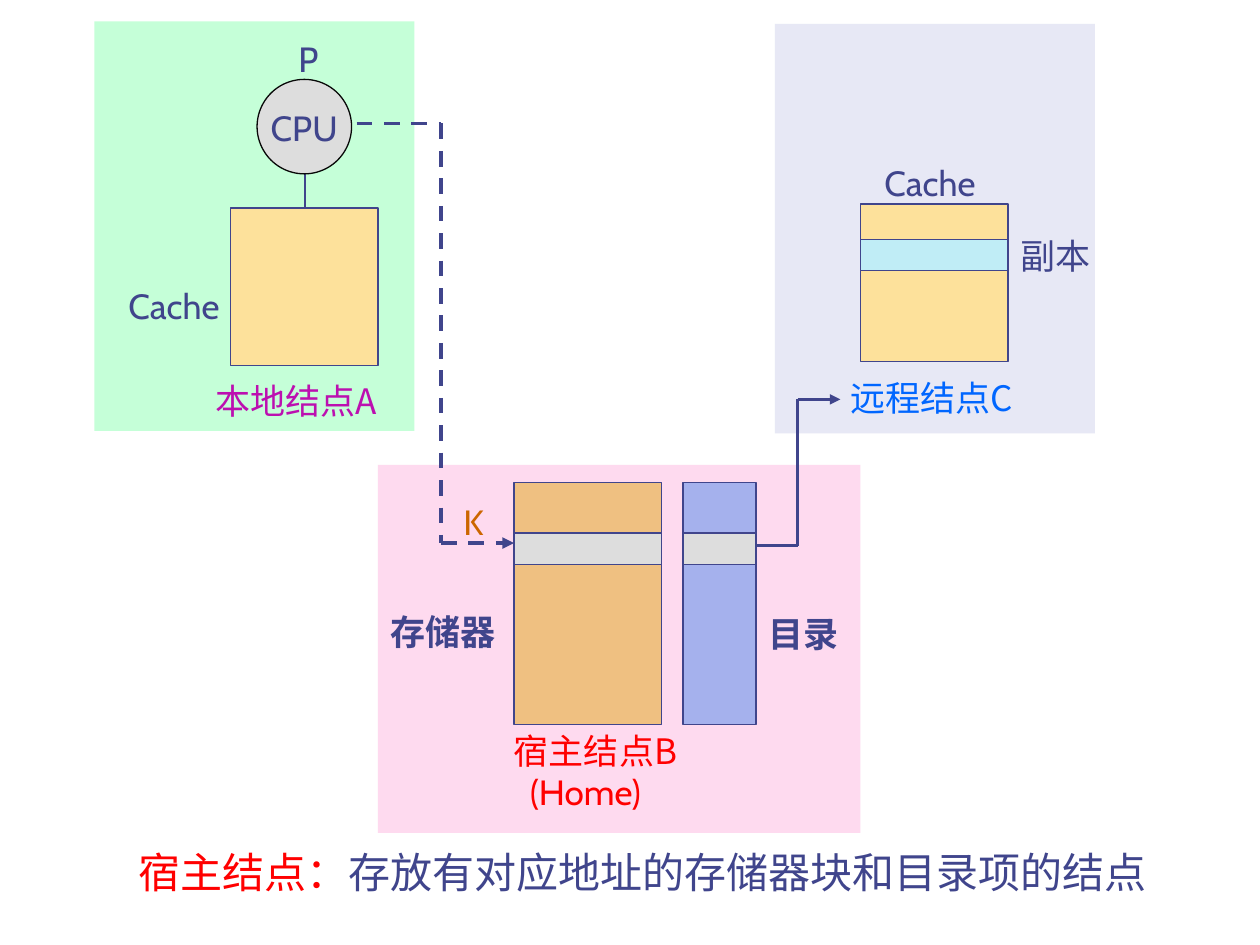
from dataclasses import dataclass
from typing import Optional

from lxml.etree import SubElement
from pptx import Presentation
from pptx.dml.color import RGBColor
from pptx.enum.dml import MSO_LINE
from pptx.enum.shapes import MSO_CONNECTOR, MSO_SHAPE
from pptx.enum.text import MSO_AUTO_SIZE
from pptx.oxml.ns import qn
from pptx.util import Inches, Pt


@dataclass(frozen=True)
class Theme:
    """Colours, fonts and type sizes."""
    ink: str = "40458C"
    outline: str = "080808"
    local_panel: str = "C5FFD8"
    remote_panel: str = "E7E8F5"
    home_panel: str = "FEDAEF"
    cache: str = "FDE19B"
    copy_block: str = "C0EDF6"
    memory: str = "EFC081"
    directory: str = "A5B1ED"
    grey: str = "DDDDDD"
    local: str = "BC10B0"
    remote: str = "0066FF"
    home: str = "FF0000"
    key: str = "CC6600"
    latin: str = "Cabin"
    chinese: str = "Noto Sans CJK SC"
    label_size: int = 20
    caption_size: int = 24
    thin: float = 0.75


THEME = Theme()


@dataclass(frozen=True)
class Block:
    """A filled shape, outlined when it has a line colour."""
    left: float
    top: float
    width: float
    height: float
    fill: str
    line: Optional[str] = THEME.ink
    kind: MSO_SHAPE = MSO_SHAPE.RECTANGLE


@dataclass(frozen=True)
class Label:
    """A one-line text made of (text, colour) spans."""
    left: float
    top: float
    width: float
    spans: tuple
    font: str = THEME.latin
    size: int = THEME.label_size
    bold: bool = False
    spacing: float = 1.0
    height: float = 0.43


@dataclass(frozen=True)
class Route:
    """A chain of straight lines, with an optional arrowhead at its end."""
    points: tuple
    weight: float
    dashed: bool = False
    arrow: bool = True


PANELS = (
    Block(3, 3.69, 3.83, 2.92, THEME.home_panel, None),
    Block(6.15, 0.19, 2.54, 3.25, THEME.remote_panel, None),
    Block(0.75, 0.17, 2.54, 3.25, THEME.local_panel, None),
)
BLOCKS = (
    Block(2.04, 0.63, 0.75, 0.75, THEME.grey, THEME.outline, MSO_SHAPE.OVAL),
    Block(1.83, 1.65, 1.17, 1.25, THEME.cache),
    Block(6.83, 1.62, 1.17, 1.25, THEME.cache),
    Block(6.83, 1.9, 1.17, 0.25, THEME.copy_block),
    Block(4.08, 3.83, 1.17, 1.92, THEME.memory),
    Block(5.42, 3.83, 0.58, 1.92, THEME.directory),
    Block(4.08, 4.23, 1.17, 0.25, THEME.grey),
    Block(5.42, 4.23, 0.58, 0.25, THEME.grey),
)
CPU_LINK = Route(((2.42, 1.32), (2.42, 1.66)), THEME.thin, arrow=False)
ROUTES = (
    Route(((2.83, 0.98), (3.5, 0.98), (3.5, 4.31), (4.08, 4.31)), 2.25, dashed=True),
    Route(((6, 4.33), (6.33, 4.33), (6.33, 3.17), (6.67, 3.17)), 1.5),
)
LABELS = (
    Label(2.27, 0.25, 0.5, (("P", THEME.ink),)),
    Label(2.05, 0.8, 0.83, (("CPU", THEME.ink),)),
    Label(0.92, 2.21, 1.17, (("Cache", THEME.ink),)),
    Label(1.61, 2.96, 1.68, (("本地结点A", THEME.local),), THEME.chinese),
    Label(6.92, 1.23, 1.17, (("Cache", THEME.ink),)),
    Label(8, 1.81, 1, (("副本", THEME.ink),), THEME.chinese),
    Label(6.65, 2.94, 1.56, (("远程结点C", THEME.remote),), THEME.chinese),
    Label(3.58, 3.92, 0.42, (("K", THEME.key),)),
    Label(3, 4.8, 1.08, (("存储器", THEME.ink),), bold=True),
    Label(6, 4.81, 1, (("目录", THEME.ink),), bold=True),
    Label(3.98, 5.78, 1.58, (("宿主结点B", THEME.home),), THEME.chinese,
          spacing=0.9, height=0.4),
    Label(4.11, 6.1, 1.42, (("(Home)", THEME.home),), spacing=0.9, height=0.4),
    Label(1, 6.75, 8.4, (("宿主结点：", THEME.home),
                         ("存放有对应地址的存储器块和目录项的结点", THEME.ink)),
          THEME.chinese, THEME.caption_size, spacing=0.8, height=0.42),
)


def draw_block(page, block: Block) -> None:
    """Draw one filled shape."""
    shape = page.shapes.add_shape(block.kind, Inches(block.left), Inches(block.top),
                                  Inches(block.width), Inches(block.height))
    shape.shadow.inherit = False
    shape.fill.solid()
    shape.fill.fore_color.rgb = RGBColor.from_string(block.fill)
    if block.line is None:
        shape.line.fill.background()
    else:
        shape.line.color.rgb = RGBColor.from_string(block.line)
        shape.line.width = Pt(THEME.thin)


def draw_label(page, label: Label) -> None:
    """Draw one line of text."""
    box = page.shapes.add_textbox(Inches(label.left), Inches(label.top),
                                  Inches(label.width), Inches(label.height))
    frame = box.text_frame
    frame.word_wrap = True
    frame.auto_size = MSO_AUTO_SIZE.SHAPE_TO_FIT_TEXT
    para = frame.paragraphs[0]
    para.line_spacing = label.spacing
    para.font.name = label.font
    para.font.size = Pt(label.size)
    para.font.bold = label.bold
    defaults = para._p.pPr.find(qn("a:defRPr"))
    SubElement(defaults, qn("a:ea")).set("typeface", THEME.chinese)
    for text, color in label.spans:
        span = para.add_run()
        span.text = text
        span.font.color.rgb = RGBColor.from_string(color)


def draw_route(page, route: Route) -> None:
    """Draw the lines of a route from its first point to its last."""
    for start, end in zip(route.points, route.points[1:]):
        line = page.shapes.add_connector(MSO_CONNECTOR.STRAIGHT,
                                         *map(Inches, start + end))
        line.line.color.rgb = RGBColor.from_string(THEME.ink)
        line.line.width = Pt(route.weight)
        if route.dashed:
            line.line.dash_style = MSO_LINE.DASH
        properties = line._element.spPr
        SubElement(properties, qn("a:effectLst"))
    if route.arrow:
        SubElement(properties.find(qn("a:ln")), qn("a:tailEnd")).set("type", "triangle")


def main() -> None:
    """Build the slide of local, home and remote nodes."""
    deck = Presentation()
    deck.slide_width, deck.slide_height = Inches(10), Inches(7.5)
    page = deck.slides.add_slide(deck.slide_layouts[6])
    for panel in PANELS:
        draw_block(page, panel)
    draw_route(page, CPU_LINK)
    for block in BLOCKS:
        draw_block(page, block)
    for route in ROUTES:
        draw_route(page, route)
    for label in LABELS:
        draw_label(page, label)
    deck.save("out.pptx")


if __name__ == "__main__":
    main()
